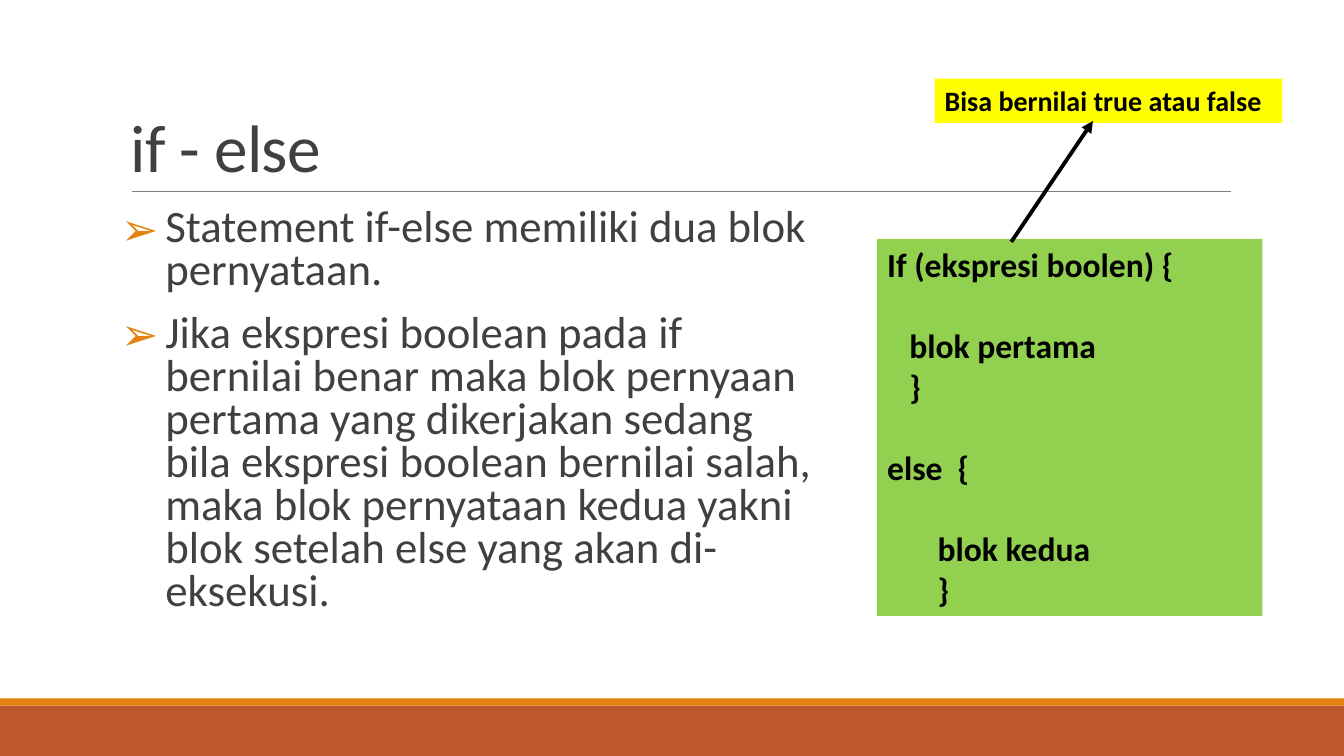
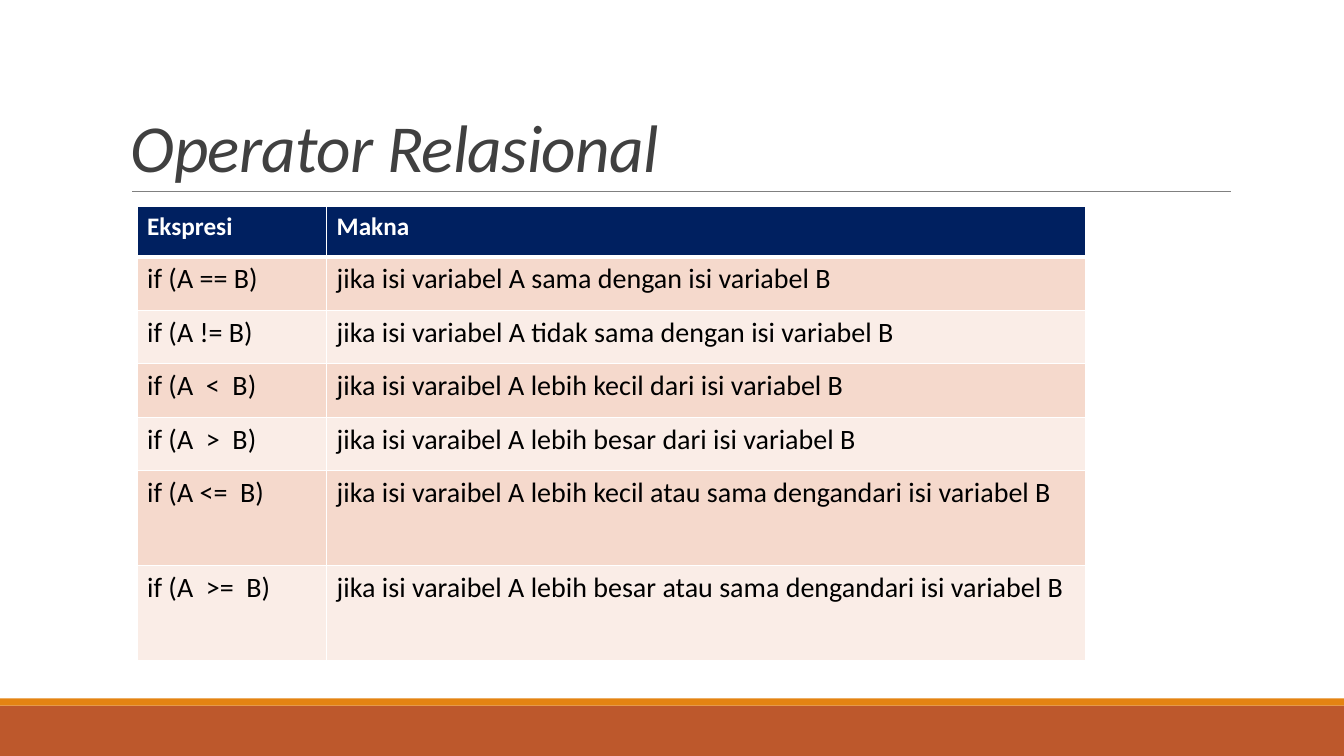
from lxml import etree
from pptx import Presentation
from pptx.dml.color import RGBColor
from pptx.enum.shapes import MSO_CONNECTOR, MSO_SHAPE
from pptx.enum.text import MSO_ANCHOR, PP_ALIGN
from pptx.oxml.ns import qn
from pptx.util import Inches, Pt

RECT, STRAIGHT = MSO_SHAPE.RECTANGLE, MSO_CONNECTOR.STRAIGHT
TOP, BOTTOM, LEFT = MSO_ANCHOR.TOP, MSO_ANCHOR.BOTTOM, PP_ALIGN.LEFT

# Shared look
FONT = "Calibri"
RUST, ORANGE = RGBColor(0xBD, 0x58, 0x2C), RGBColor(0xE4, 0x83, 0x12)
DARK, GRAY = RGBColor(0x40, 0x40, 0x40), RGBColor(0x80, 0x80, 0x80)
BLACK, WHITE = RGBColor(0, 0, 0), RGBColor(0xFF, 0xFF, 0xFF)
GREEN, YELLOW = RGBColor(0x92, 0xD0, 0x50), RGBColor(0xFF, 0xFF, 0)
NAVY = RGBColor(0, 0x20, 0x60)
PEACH, PALE = RGBColor(0xF5, 0xD9, 0xCC), RGBColor(0xFA, 0xED, 0xE7)
SLIDE_W, SLIDE_H = 13.33, 7.5
MARGIN, RULE_Y = 1.2, 1.9
BAND_H, STRIPE_H = 0.5, 0.07
INSET_X, INSET_Y = 0.1, 0.05

# Content
IF_TITLE, OPERATOR_TITLE = "if - else", "Operator Relasional"
BULLETS = [
    "Statement if-else memiliki dua blok pernyataan.",
    "Jika ekspresi boolean pada if bernilai benar maka blok pernyaan pertama "
    "yang dikerjakan sedang bila ekspresi boolean bernilai salah, maka blok "
    "pernyataan kedua yakni blok setelah else yang akan di-eksekusi.",
]
CODE_LINE = 29.3  # points in one line of code
CODE = [  # text, indent in inches, lines left open above
    ("If (ekspresi boolen) {", 0, 0),
    ("blok pertama", 0.22, 1),
    ("}", 0.22, 0),
    ("else  {", 0, 1),
    ("blok kedua", 0.5, 1),
    ("}", 0.5, 0),
]
NOTE = "Bisa bernilai true atau false"
OPERATORS = [
    ("Ekspresi", "Makna"),
    ("if (A == B)", "jika isi variabel A sama dengan isi variabel B"),
    ("if (A != B)", "jika isi variabel A tidak sama dengan isi variabel B"),
    ("if (A  <  B)", "jika isi varaibel A lebih kecil dari isi variabel B"),
    ("if (A  >  B)", "jika isi varaibel A lebih besar dari isi variabel B"),
    ("if (A <=  B)", "jika isi varaibel A lebih kecil atau sama dengandari isi variabel B"),
    ("if (A  >=  B)", "jika isi varaibel A lebih besar atau sama dengandari isi variabel B"),
]
COLUMNS = [1.88, 7.53]
ROWS = [0.5] + [0.53] * 4 + [0.94] * 2


def box(*lengths):
    return [Inches(v) for v in lengths]


def write(p, text, size, color, bold=False, italic=False):
    r = p.add_run()
    r.text = text
    style = {"name": FONT, "size": Pt(size), "bold": bold, "italic": italic}
    for name, value in style.items():
        setattr(r.font, name, value)
    r.font.color.rgb = color
    return r


def format_paragraph(p, **values):
    for name, value in values.items():
        setattr(p, name, value)


def set_frame(sp, anchor=TOP, inset_x=INSET_X):
    tf = sp.text_frame
    values = {"word_wrap": True, "vertical_anchor": anchor,
              "margin_left": Inches(inset_x), "margin_right": Inches(inset_x),
              "margin_top": Inches(INSET_Y), "margin_bottom": Inches(INSET_Y)}
    for name, value in values.items():
        setattr(tf, name, value)
    return tf


def paragraphs(tf, items):
    for i, item in enumerate(items):
        yield (tf.add_paragraph() if i else tf.paragraphs[0]), item


def add_rect(s, place, color):
    sp = s.shapes.add_shape(RECT, *box(*place))
    sp.shadow.inherit = False
    sp.fill.solid()
    sp.fill.fore_color.rgb = color
    sp.line.fill.background()
    return sp


def add_line(s, start, end, color, width, arrow=False):
    line = s.shapes.add_connector(STRAIGHT, *box(*start, *end))
    line.line.color.rgb = color
    line.line.width = Pt(width)
    if arrow:
        etree.SubElement(line.line._get_or_add_ln(), qn("a:tailEnd"), type="triangle")
    etree.SubElement(line._element.spPr, qn("a:effectLst"))


def add_slide(title, title_w, italic=False):
    s = prs.slides.add_slide(prs.slide_layouts[6])
    band_y = SLIDE_H - BAND_H
    add_rect(s, (0, band_y, SLIDE_W, BAND_H), RUST)
    add_rect(s, (0, band_y - STRIPE_H, SLIDE_W, STRIPE_H), ORANGE)
    add_line(s, (1.31, RULE_Y), (12.21, RULE_Y), GRAY, 0.5)
    title_h = 1.59
    sp = s.shapes.add_textbox(*box(MARGIN, RULE_Y - title_h, title_w, title_h))
    p = set_frame(sp, BOTTOM).paragraphs[0]
    p.line_spacing = 0.85
    r = write(p, title, 48, DARK, italic=italic)
    r.font._element.set("spc", "-50")
    return s


def add_bullet(p, indent):
    pPr = p._p.get_or_add_pPr()
    pPr.set("marL", str(Inches(indent)))
    pPr.set("indent", str(-Inches(indent)))
    color = etree.SubElement(pPr, qn("a:buClr"))
    etree.SubElement(color, qn("a:srgbClr"), val=str(ORANGE))
    etree.SubElement(pPr, qn("a:buFont"), typeface="Noto Sans Symbols")
    etree.SubElement(pPr, qn("a:buChar"), char="\u27a2")


def set_borders(cell, bottom):
    tcPr = cell._tc.get_or_add_tcPr()
    for i, (side, width) in enumerate(zip("LRTB", (1, 1, 1, bottom))):
        ln = etree.Element(qn("a:ln" + side), w=str(Pt(width)))
        fill = etree.SubElement(ln, qn("a:solidFill"))
        etree.SubElement(fill, qn("a:srgbClr"), val=str(WHITE))
        tcPr.insert(i, ln)


prs = Presentation()
prs.slide_width, prs.slide_height = box(SLIDE_W, SLIDE_H)

# Slide 1: if - else
s = add_slide(IF_TITLE, 5.94)
sp = s.shapes.add_textbox(*box(MARGIN, 2.02, 6.98, 4.4))
for p, text in paragraphs(set_frame(sp, inset_x=0), BULLETS):
    format_paragraph(p, line_spacing=0.8, space_before=Pt(12), space_after=Pt(2))
    add_bullet(p, 0.44)
    write(p, text, 32, DARK)

# Code box with its note
sp = add_rect(s, (8.7, 2.37, 3.82, 3.74), GREEN)
for p, (text, indent, gap) in paragraphs(set_frame(sp), CODE):
    format_paragraph(p, alignment=LEFT, space_before=Pt(gap * CODE_LINE))
    p._p.get_or_add_pPr().set("marL", str(Inches(indent)))
    write(p, text, 24, BLACK, bold=True)
sp = add_rect(s, (9.27, 0.78, 3.45, 0.44), YELLOW)
p = set_frame(sp).paragraphs[0]
p.alignment = LEFT
write(p, NOTE, 20, BLACK, bold=True)
add_line(s, (10.03, 2.4), (10.84, 1.2), BLACK, 2.75, arrow=True)

# Slide 2: relational operators
s = add_slide(OPERATOR_TITLE, 11, italic=True)
frame = s.shapes.add_table(len(ROWS), len(COLUMNS),
                           *box(1.36, 2.05, sum(COLUMNS), sum(ROWS)))
table = frame.table
for column, width in zip(table.columns, COLUMNS):
    column.width = Inches(width)
for i, (row, height) in enumerate(zip(table.rows, ROWS)):
    row.height = Inches(height)
    header = i == 0
    for cell, text in zip(row.cells, OPERATORS[i]):
        cell.fill.solid()
        cell.fill.fore_color.rgb = NAVY if header else PEACH if i % 2 else PALE
        set_borders(cell, 3 if header else 1)
        write(cell.text_frame.paragraphs[0], text, 18 if header else 20,
              WHITE if header else BLACK, bold=header)

prs.save("out.pptx")
